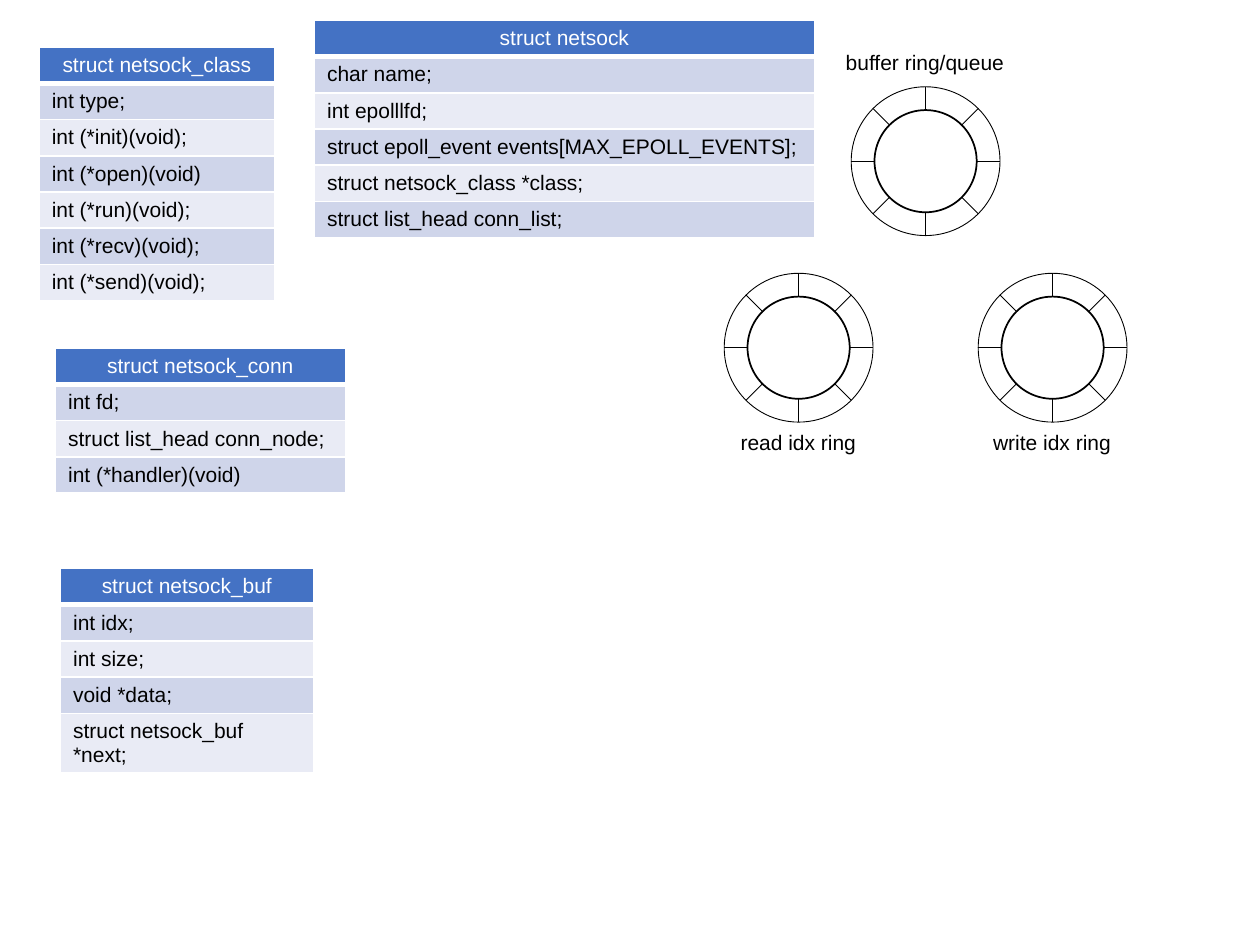
from math import cos, pi, sin

from lxml import etree
from pptx import Presentation
from pptx.dml.color import RGBColor
from pptx.enum.shapes import MSO_CONNECTOR, MSO_SHAPE
from pptx.enum.text import MSO_AUTO_SIZE, PP_ALIGN
from pptx.oxml.ns import qn
from pptx.util import Cm, Pt


def paint(color_format, hex_color):
    color_format.rgb = RGBColor.from_string(hex_color)


def format_text(p, hex_color):
    for r in p.runs:
        r.font.size = Pt(12)
        r.font.name = "Arial"
        paint(r.font.color, hex_color)


prs = Presentation()
prs.slide_width, prs.slide_height = Cm(25.4), Cm(19.05)
s = prs.slides.add_slide(prs.slide_layouts[6])

# Struct tables: left, top, width, header and members
ROW_HEIGHT = 0.73
structs = [
    (0.79, 0.95, 4.75, ["struct netsock_class", "int type;", "int (*init)(void);",
                        "int (*open)(void)", "int (*run)(void);",
                        "int (*recv)(void);", "int (*send)(void);"]),
    (1.12, 7.02, 5.84, ["struct netsock_conn", "int fd;",
                        "struct list_head conn_node;", "int (*handler)(void)"]),
    (6.34, 0.41, 10.08, ["struct netsock", "char name;", "int epolllfd;",
                         "struct epoll_event events[MAX_EPOLL_EVENTS];",
                         "struct netsock_class *class;",
                         "struct list_head conn_list;"]),
    (1.22, 11.46, 5.1, ["struct netsock_buf", "int idx;", "int size;",
                        "void *data;", "struct netsock_buf *next;"]),
]
for left, top, width, lines in structs:
    frame = s.shapes.add_table(len(lines), 1, Cm(left), Cm(top),
                               Cm(width), Cm(ROW_HEIGHT * len(lines)))
    table = frame.table
    for i, line in enumerate(lines):
        table.rows[i].height = Cm(ROW_HEIGHT)
        cell = table.cell(i, 0)
        cell.text = line
        p = cell.text_frame.paragraphs[0]
        if i == 0:
            p.alignment = PP_ALIGN.CENTER
        format_text(p, "FFFFFF" if i == 0 else "000000")

        # White borders, with a thick rule under the header
        tcPr = cell._tc.get_or_add_tcPr()
        for side in ("lnL", "lnR", "lnT", "lnB"):
            thick = (i, side) in ((0, "lnB"), (1, "lnT"))
            ln = etree.SubElement(tcPr, qn(f"a:{side}"), w=str(Pt(3 if thick else 1)))
            fill = etree.SubElement(ln, qn("a:solidFill"))
            etree.SubElement(fill, qn("a:srgbClr"), val="FFFFFF")

        cell.fill.solid()
        band = "CFD5EA" if i % 2 else "E9EBF5"
        paint(cell.fill.fore_color, "4472C4" if i == 0 else band)

# Rings: centre x, centre y
OUTER, INNER = 1.5, 1.03
for cx, cy in [(18.66, 3.25), (16.1, 7.01), (21.22, 7.01)]:
    ring = s.shapes.add_group_shape().shapes

    sp = ring.add_shape(MSO_SHAPE.DONUT, Cm(cx - OUTER), Cm(cy - OUTER),
                        Cm(2 * OUTER), Cm(2 * OUTER))
    sp.adjustments[0] = 0.165
    sp.shadow.inherit = False
    sp.fill.background()
    sp.line.width = Pt(0.5)
    paint(sp.line.color, "000000")

    # Four diameters divide the ring into eight slots
    for k in range(4):
        dx, dy = OUTER * cos(k * pi / 4), OUTER * sin(k * pi / 4)
        spoke = ring.add_connector(MSO_CONNECTOR.STRAIGHT, Cm(cx - dx), Cm(cy - dy),
                                   Cm(cx + dx), Cm(cy + dy))
        spoke.line.width = Pt(0.5)
        paint(spoke.line.color, "000000")
        etree.SubElement(spoke._element.spPr, qn("a:effectLst"))

    hub = ring.add_shape(MSO_SHAPE.OVAL, Cm(cx - INNER), Cm(cy - INNER),
                         Cm(2 * INNER), Cm(2 * INNER))
    hub.shadow.inherit = False
    hub.fill.solid()
    paint(hub.fill.fore_color, "FFFFFF")
    hub.line.width = Pt(1)
    paint(hub.line.color, "000000")

# Ring labels
for left, top, width, label in [(16.8, 0.87, 3.72, "buffer ring/queue"),
                                (14.68, 8.54, 2.84, "read idx ring"),
                                (19.77, 8.54, 2.9, "write idx ring")]:
    tf = s.shapes.add_textbox(Cm(left), Cm(top), Cm(width), Cm(0.77)).text_frame
    tf.word_wrap = False
    tf.auto_size = MSO_AUTO_SIZE.SHAPE_TO_FIT_TEXT
    tf.text = label
    format_text(tf.paragraphs[0], "000000")

prs.save("out.pptx")
